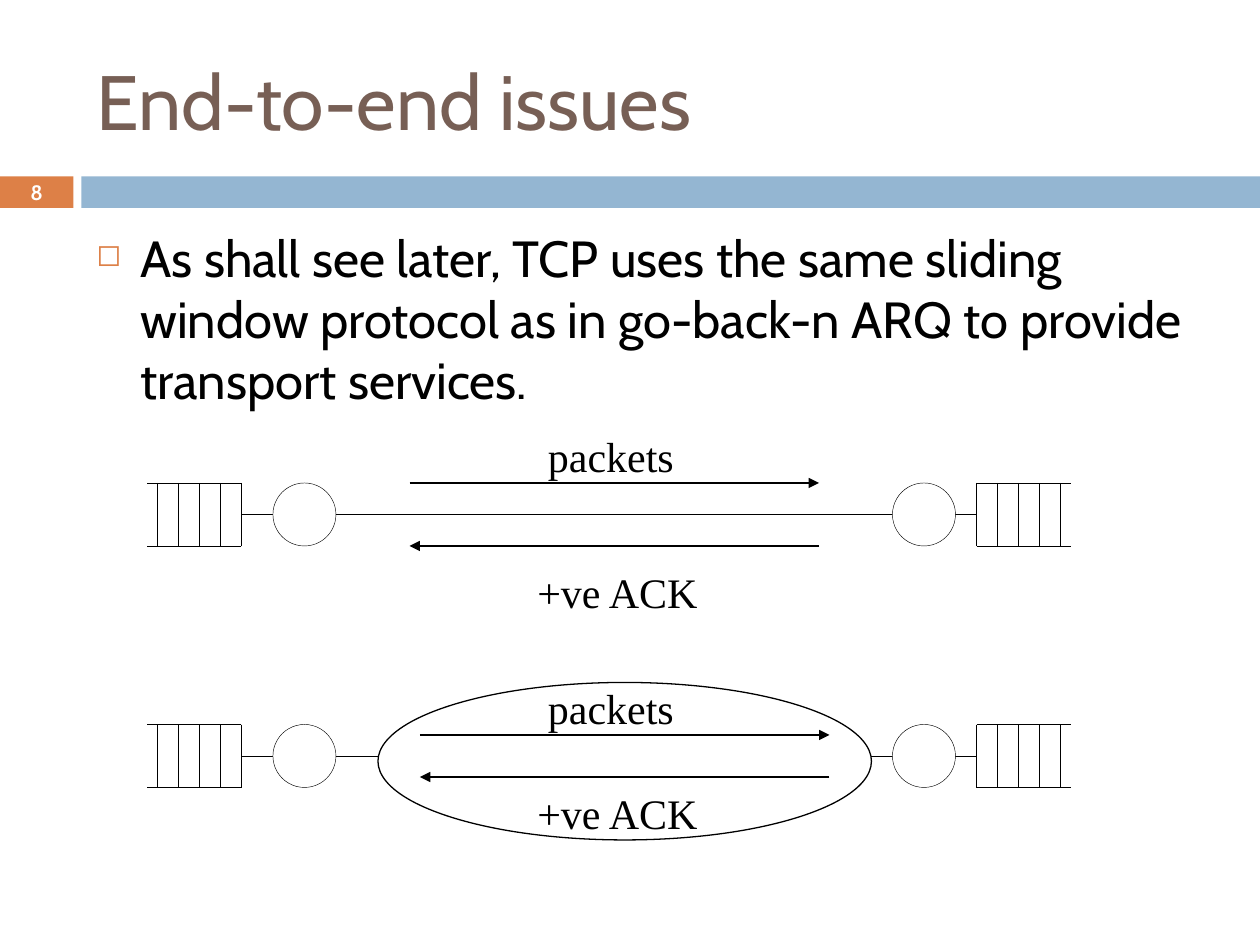
from dataclasses import dataclass

from lxml import etree
from pptx import Presentation
from pptx.dml.color import RGBColor
from pptx.enum.shapes import MSO_CONNECTOR, MSO_SHAPE
from pptx.enum.text import MSO_ANCHOR, PP_ALIGN
from pptx.oxml.ns import qn
from pptx.util import Pt

LINE = MSO_CONNECTOR.STRAIGHT
RECT, OVAL = MSO_SHAPE.RECTANGLE, MSO_SHAPE.OVAL
TOP, MIDDLE = MSO_ANCHOR.TOP, MSO_ANCHOR.MIDDLE
LEFT, CENTER = PP_ALIGN.LEFT, PP_ALIGN.CENTER


@dataclass(frozen=True)
class Theme:
    sans: str = "Cabin"
    serif: str = "Times New Roman"
    black: str = "000000"
    white: str = "FFFFFF"
    brown: str = "775F55"
    orange: str = "DD8047"
    blue: str = "94B6D2"
    title: float = 44
    body: float = 29
    label: float = 24
    number: float = 11.9
    thin: float = 0.25
    thick: float = 0.75


THEME = Theme()


def color(code):
    return RGBColor.from_string(code)


def add_form(slide, kind, box, fill, width=None):
    form = slide.shapes.add_shape(kind, *map(Pt, box))
    form.shadow.inherit = False
    form.fill.solid()
    form.fill.fore_color.rgb = color(fill)
    if width is None:
        form.line.fill.background()
    else:
        form.line.color.rgb = color(THEME.black)
        form.line.width = Pt(width)
    return form


def add_line(shapes, start, end, width=THEME.thin, arrow=False):
    line = shapes.add_connector(LINE, *map(Pt, (*start, *end)))
    line.line.color.rgb = color(THEME.black)
    line.line.width = Pt(width)
    props = line._element.spPr
    if arrow:
        etree.SubElement(props.find(qn("a:ln")), qn("a:tailEnd"), type="triangle")
    etree.SubElement(props, qn("a:effectLst"))


def add_bullet(para, mark):
    props = para._p.get_or_add_pPr()
    props.set("marL", str(Pt(25.2)))
    props.set("indent", str(Pt(-25.2)))
    tint = etree.SubElement(props, qn("a:buClr"))
    etree.SubElement(tint, qn("a:srgbClr"), val=THEME.orange)
    etree.SubElement(props, qn("a:buSzPct"), val="60000")
    etree.SubElement(props, qn("a:buChar"), char=mark)


def add_text(slide, box, text, face, size, tint,
             anchor=TOP, align=LEFT, bold=False, inset=3.6, mark=None):
    frame = slide.shapes.add_textbox(*map(Pt, box)).text_frame
    frame.word_wrap = True
    frame.vertical_anchor = anchor
    frame.margin_top = Pt(inset)
    para = frame.paragraphs[0]
    para.text = text
    para.alignment = align
    if mark:
        add_bullet(para, mark)
    font = para.font
    font.name, font.size, font.bold = face, Pt(size), bold
    font.color.rgb = color(tint)


def add_label(slide, left, top, width, text):
    add_text(slide, (left, top, width, 36), text,
             THEME.serif, THEME.label, THEME.black, inset=6)


def add_queue(slide, edge, mid, side):
    shapes = slide.shapes.add_group_shape().shapes
    top, low = mid - 18, mid + 18
    for y in (top, low):
        add_line(shapes, (edge, y), (edge + side * 54, y))
    for slot in range(5):
        x = edge + side * slot * 12
        add_line(shapes, (x, top), (x, low))


def add_ends(slide, mid):
    for left in (156, 510):
        add_form(slide, OVAL, (left, mid - 18, 36, 36), THEME.white, THEME.thin)
    for edge, side in ((138, -1), (558, 1)):
        add_queue(slide, edge, mid, side)


def add_flow(slide, left, mid, gap, upper, lower):
    right = left + 234
    add_line(slide.shapes, (left, mid - gap), (right, mid - gap), THEME.thick, True)
    add_line(slide.shapes, (right, mid + gap), (left, mid + gap), THEME.thick, True)
    add_label(slide, 306, upper, 96, "packets")
    add_label(slide, 300, lower, 114, "+ve ACK")


def add_frame(slide):
    add_form(slide, RECT, (0, 100.8, 42, 18), THEME.orange)
    add_form(slide, RECT, (46.5, 100.8, 673.5, 18), THEME.blue)
    add_text(slide, (48, 18, 642, 78), "End-to-end issues",
             THEME.sans, THEME.title, THEME.brown, MIDDLE)
    add_text(slide, (0, 100, 42, 19.5), "8", THEME.sans, THEME.number,
             THEME.white, MIDDLE, CENTER, True)
    add_text(slide, (48, 126, 642, 354),
             "As shall see later, TCP uses the same sliding window protocol "
             "as in go-back-n ARQ to provide transport services.",
             THEME.sans, THEME.body, THEME.black, mark="◻")


def main():
    deck = Presentation()
    deck.slide_width, deck.slide_height = Pt(720), Pt(540)
    slide = deck.slides.add_slide(deck.slide_layouts[6])
    add_frame(slide)
    direct, cloud = 294, 432
    for mid in (direct, cloud):
        add_line(slide.shapes, (138, mid), (558, mid))
    add_form(slide, OVAL, (216, 390, 282, 90), THEME.white, THEME.thick)
    add_flow(slide, 234, direct, 18, 240, 318)
    add_flow(slide, 240, cloud, 12, 384, 444)
    for mid in (direct, cloud):
        add_ends(slide, mid)
    deck.save("out.pptx")


if __name__ == "__main__":
    main()
